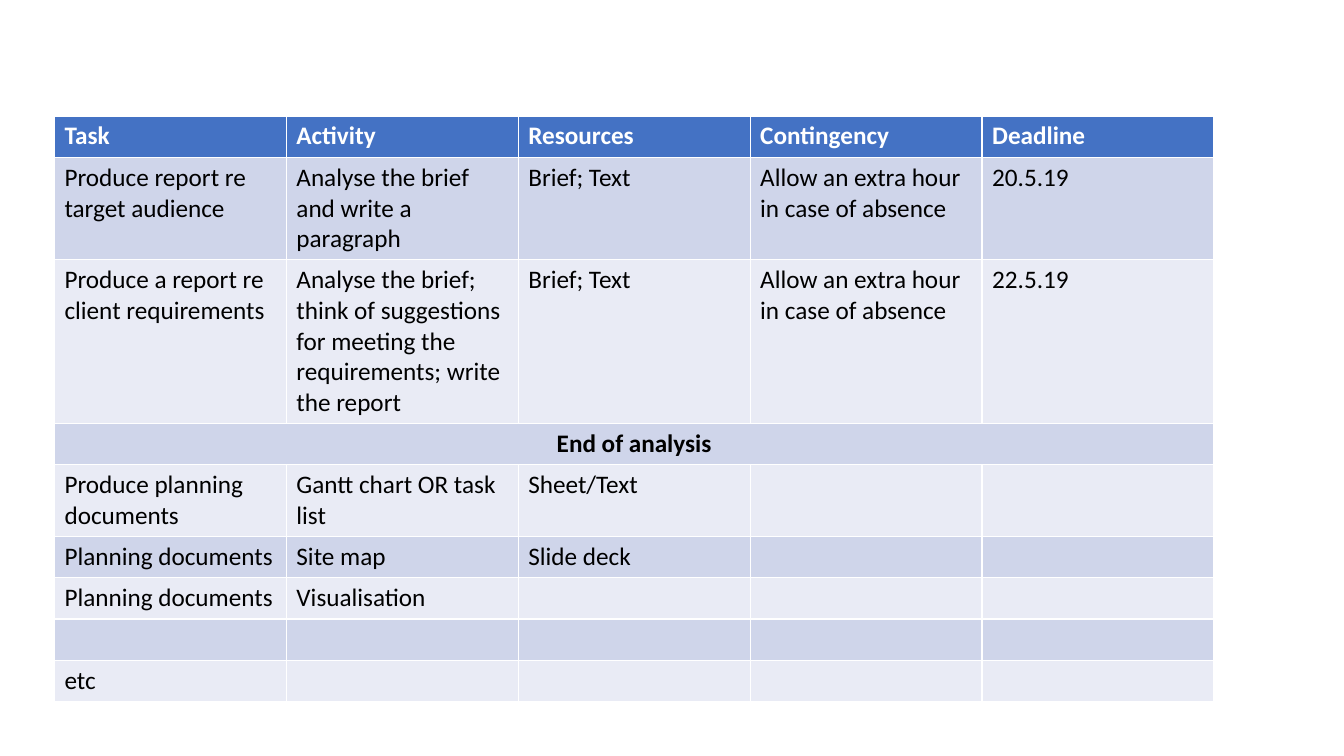
"""Build a project task plan slide with one banded table."""
from dataclasses import dataclass

from pptx import Presentation
from pptx import table as tables
from pptx import util as u
from pptx.dml.color import RGBColor
from pptx.enum import text

SLIDE_WIDTH = u.Inches(13.33)
SLIDE_HEIGHT = u.Inches(7.5)
TABLE_LEFT = u.Inches(0.54)
TABLE_TOP = u.Inches(1.15)
COLUMN_WIDTH = u.Inches(2.3)
ROW_HEIGHT = u.Inches(0.41)
COLUMN_COUNT = 5

WHITE = RGBColor(0xFF, 0xFF, 0xFF)
BLACK = RGBColor(0x00, 0x00, 0x00)
HEADER_BLUE = RGBColor(0x44, 0x72, 0xC4)
DARK_BAND = RGBColor(0xCF, 0xD5, 0xEA)
LIGHT_BAND = RGBColor(0xE9, 0xEB, 0xF5)


@dataclass(frozen=True)
class PlanRow:
    task: str = ""
    activity: str = ""
    resources: str = ""
    contingency: str = ""
    deadline: str = ""
    is_header: bool = False
    is_milestone: bool = False

    @property
    def entries(self) -> tuple[str, ...]:
        return (self.task, self.activity, self.resources, self.contingency, self.deadline)


EXTRA_HOUR = "Allow an extra hour in case of absence"
PLAN = (
    PlanRow("Task", "Activity", "Resources", "Contingency", "Deadline", is_header=True),
    PlanRow("Produce report re target audience", "Analyse the brief and write a paragraph",
            "Brief; Text", EXTRA_HOUR, "20.5.19"),
    PlanRow("Produce a report re client requirements",
            "Analyse the brief; think of suggestions for meeting the requirements; write the report",
            "Brief; Text", EXTRA_HOUR, "22.5.19"),
    PlanRow("End of analysis", is_milestone=True),
    PlanRow("Produce planning documents", "Gantt chart OR task list", "Sheet/Text"),
    PlanRow("Planning documents", "Site map", "Slide deck"),
    PlanRow("Planning documents", "Visualisation"),
    PlanRow(),
    PlanRow("etc"),
)


def row_fill(index: int) -> RGBColor:
    if index == 0:
        return HEADER_BLUE
    return DARK_BAND if index % 2 else LIGHT_BAND


def write_entry(cell: tables._Cell, entry: str, row: PlanRow) -> None:
    paragraph = cell.text_frame.paragraphs[0]
    paragraph.font.size = u.Pt(18)
    if row.is_milestone:
        paragraph.alignment = text.PP_ALIGN.CENTER
    if entry:
        run = paragraph.add_run()
        run.text = entry
        run.font.name = "Calibri"
        run.font.size = u.Pt(18)
        run.font.bold = row.is_header or row.is_milestone
        run.font.color.rgb = WHITE if row.is_header else BLACK


def fill_row(table: tables.Table, index: int, row: PlanRow) -> None:
    table.rows[index].height = ROW_HEIGHT
    for column, entry in enumerate(row.entries):
        cell = table.cell(index, column)
        cell.fill.solid()
        cell.fill.fore_color.rgb = row_fill(index)
        write_entry(cell, entry, row)
    if row.is_milestone:
        table.cell(index, 0).merge(table.cell(index, COLUMN_COUNT - 1))


def main() -> None:
    presentation = Presentation()
    presentation.slide_width = SLIDE_WIDTH
    presentation.slide_height = SLIDE_HEIGHT
    slide = presentation.slides.add_slide(presentation.slide_layouts[6])
    table = slide.shapes.add_table(
        len(PLAN), COLUMN_COUNT, TABLE_LEFT, TABLE_TOP,
        COLUMN_WIDTH * COLUMN_COUNT, ROW_HEIGHT * len(PLAN),
    ).table
    for column in table.columns:
        column.width = COLUMN_WIDTH
    for index, row in enumerate(PLAN):
        fill_row(table, index, row)
    presentation.save("out.pptx")


if __name__ == "__main__":
    main()
